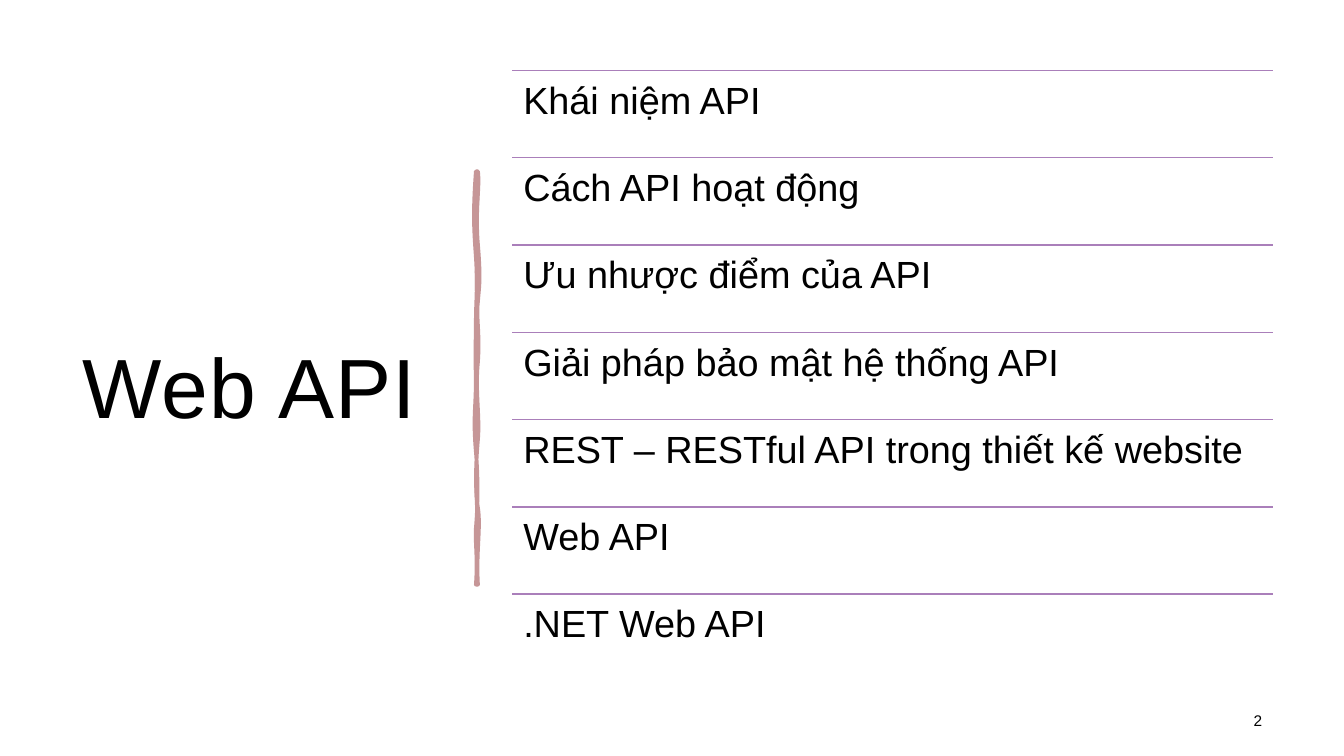
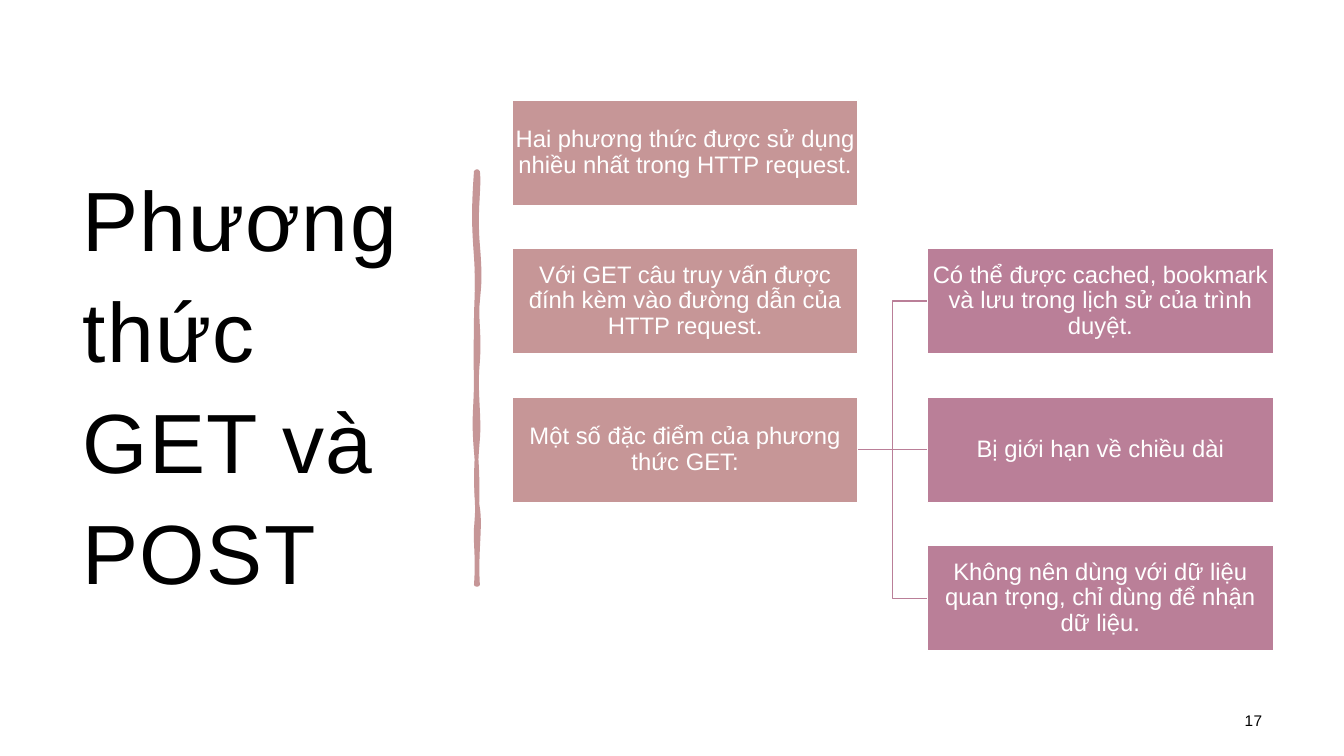
from pptx import Presentation
from pptx.dml.color import RGBColor
from pptx.enum.shapes import MSO_CONNECTOR, MSO_SHAPE
from pptx.enum.text import MSO_ANCHOR, PP_ALIGN
from pptx.oxml.ns import qn
from pptx.util import Inches, Pt
from lxml.etree import SubElement

COLORS = {
    "paper": "FFFFFF",
    "ink": "000000",
    "rose": "C69697",
    "mauve": "BA7F98",
    "violet": "AA7FBA",
}
FONT = "Arial"
FRAME = (0.12, 0.12, 0.12, 0.1)

SLIDE_BOX = (0, 0, 13.33, 7.5)
TITLE_BOX = (0.7, 0.7, 3.74, 6.11)
STROKE_BOX = (4.72, 1.7, 0.02, 4.1)
NUMBER_BOX = (10.64, 6.95, 2, 0.4)
LIST_BOX = (5.08, 0.7, 7.55, 6.06)
TREE_BOX = (5.08, 0.99, 7.55, 5.47)

STROKE_EDGE = [
    (0.01, 0, 0.01, 0, 0.02, 0),
    (0.04, 0.16, -0.01, 0.37, 0.02, 0.73),
    (0.05, 1.09, 0.03, 1.15, 0.02, 1.29),
    (0, 1.43, 0.04, 1.61, 0.02, 1.89),
    (-0.01, 2.17, 0.04, 2.43, 0.02, 2.66),
    (0, 2.88, -0.01, 3.15, 0.02, 3.34),
    (0.05, 3.53, 0, 3.78, 0.02, 4.1),
    (0.01, 4.1, 0.01, 4.1, 0, 4.1),
    (0.02, 3.84, -0.01, 3.66, 0, 3.54),
    (0.01, 3.43, 0.03, 3.13, 0, 2.78),
    (-0.03, 2.43, 0, 2.36, 0, 2.05),
    (-0.01, 1.75, 0, 1.71, 0, 1.49),
    (0, 1.28, 0.02, 1.15, 0, 0.85),
    (-0.02, 0.56, -0.03, 0.42, 0, 0),
]
STROKE_BODY = [
    (0, 0, 0.01, 0, 0.02, 0),
    (0.04, 0.25, 0.03, 0.31, 0.02, 0.56),
    (0.01, 0.82, 0.06, 1.1, 0.02, 1.33),
    (-0.02, 1.56, 0.04, 1.74, 0.02, 2.01),
    (0, 2.29, 0.02, 2.47, 0.02, 2.61),
    (0.02, 2.76, 0.01, 2.93, 0.02, 3.22),
    (0.03, 3.5, 0.01, 3.74, 0.02, 4.1),
    (0.01, 4.1, 0, 4.1, 0, 4.1),
    (-0.01, 3.98, -0.01, 3.66, 0, 3.54),
    (0, 3.43, -0.03, 3.08, 0, 2.9),
    (0.03, 2.72, 0.01, 2.53, 0, 2.26),
    (-0.01, 1.99, -0.02, 1.73, 0, 1.53),
    (0.01, 1.34, -0.03, 1.11, 0, 0.89),
    (0.03, 0.67, 0.02, 0.41, 0, 0),
]

TOPICS = [
    "Khái niệm API",
    "Cách API hoạt động",
    "Ưu nhược điểm của API",
    "Giải pháp bảo mật hệ thống API",
    "REST – RESTful API trong thiết kế website",
    "Web API",
    ".NET Web API",
]
METHODS = [
    "Hai phương thức được sử dụng nhiều nhất trong HTTP request.",
    "Với GET câu truy vấn được đính kèm vào đường dẫn của HTTP request.",
    "Một số đặc điểm của phương thức GET:",
]
TRAITS = [
    "Có thể được cached, bookmark và lưu trong lịch sử của trình duyệt.",
    "Bị giới hạn về chiều dài",
    "Không nên dùng với dữ liệu quan trọng, chỉ dùng để nhận dữ liệu.",
]


def rgb(name):
    return RGBColor.from_string(COLORS[name])


def inches(box):
    return [Inches(v) for v in box]


def paint(sp, fill, line=None, width=1):
    sp.shadow.inherit = False
    sp.fill.solid()
    sp.fill.fore_color.rgb = rgb(fill)
    if line:
        sp.line.color.rgb = rgb(line)
        sp.line.width = Pt(width)
    else:
        sp.line.fill.background()


def write(sp, text, size, color="ink", align=PP_ALIGN.LEFT, anchor=MSO_ANCHOR.MIDDLE,
          insets=FRAME, leading=0.9, tracking=0):
    tf = sp.text_frame
    tf.word_wrap = True
    tf.vertical_anchor = anchor
    tf.margin_left, tf.margin_top, tf.margin_right, tf.margin_bottom = inches(insets)
    p = tf.paragraphs[0]
    p.alignment = align
    p.line_spacing = leading
    r = p.add_run()
    r.text = text
    r.font.name = FONT
    r.font.size = Pt(size)
    r.font.color.rgb = rgb(color)
    if tracking:
        r._r.get_or_add_rPr().set("spc", str(round(tracking * 100)))


def add_text(s, box, text, size, **style):
    write(s.shapes.add_textbox(*inches(box)), text, size, **style)


def add_rect(s, box, fill, line=None):
    sp = s.shapes.add_shape(MSO_SHAPE.RECTANGLE, *inches(box))
    paint(sp, fill, line)
    return sp


def add_line(s, color, kind=MSO_CONNECTOR.STRAIGHT, ends=(0, 0, 0, 0)):
    line = s.shapes.add_connector(kind, *inches(ends))
    line.line.color.rgb = rgb(color)
    line.line.width = Pt(1)
    SubElement(line._element.spPr, qn("a:effectLst"))
    return line


def add_point(parent, x, y):
    SubElement(parent, qn("a:pt"), x=str(Inches(x)), y=str(Inches(y)))


def add_curves(outlines, size, curves, **flags):
    w, h = (str(v) for v in inches(size))
    outline = SubElement(outlines, qn("a:path"), w=w, h=h, **flags)
    add_point(SubElement(outline, qn("a:moveTo")), 0, 0)
    for curve in curves:
        bezier = SubElement(outline, qn("a:cubicBezTo"))
        for x, y in zip(curve[::2], curve[1::2]):
            add_point(bezier, x, y)
    SubElement(outline, qn("a:close"))


def add_stroke(s, box):
    left, top, width, height = inches(box)
    builder = s.shapes.build_freeform(left, top)
    builder.add_line_segments([(left + width, top + height)])
    sp = builder.convert_to_shape()
    paint(sp, "rose", "rose", 2.75)
    outlines = sp._element.spPr.find(".//" + qn("a:pathLst"))
    outlines.clear()
    add_curves(outlines, box[2:], STROKE_EDGE, fill="none")
    add_curves(outlines, box[2:], STROKE_BODY, stroke="0")


def add_base(prs, title, number):
    s = prs.slides.add_slide(prs.slide_layouts[6])
    add_rect(s, SLIDE_BOX, "paper")
    add_text(s, TITLE_BOX, title, 60, leading=1.1, tracking=1)
    add_stroke(s, STROKE_BOX)
    add_text(s, NUMBER_BOX, str(number), 11, align=PP_ALIGN.RIGHT, tracking=0.4)
    return s


def add_topic_list(s, box, topics):
    left, top, width, height = box
    row = height / len(topics)
    for i, topic in enumerate(topics):
        y = top + i * row
        add_line(s, "violet", ends=(left, y, left + width, y))
        add_text(s, (left, y, width, row), topic, 27,
                 anchor=MSO_ANCHOR.TOP, insets=(0.11,) * 4)


def add_card(s, box, text, color):
    sp = add_rect(s, box, color, "paper")
    write(sp, text, 17, color="paper", align=PP_ALIGN.CENTER, insets=(0.01,) * 4)
    return sp


def add_tree(s, box, methods, traits):
    left, top, width, height = box
    card_w, card_h = width / 2.2, 1.05
    pitch = (height - card_h) / 3

    def column(x, first_row, texts, color):
        return [add_card(s, (x, top + (first_row + i) * pitch, card_w, card_h), text, color)
                for i, text in enumerate(texts)]

    parent = column(left, 0, methods, "rose")[-1]
    for child in column(left + width - card_w, 1, traits, "mauve"):
        level = child.top == parent.top
        link = add_line(s, "mauve", MSO_CONNECTOR.STRAIGHT if level else MSO_CONNECTOR.ELBOW)
        link.begin_connect(parent, 3)
        link.end_connect(child, 1)


def main():
    prs = Presentation()
    prs.slide_width, prs.slide_height = inches(SLIDE_BOX[2:])
    add_topic_list(add_base(prs, "Web API", 2), LIST_BOX, TOPICS)
    add_tree(add_base(prs, "Phương thức GET và POST", 17), TREE_BOX, METHODS, TRAITS)
    prs.save("out.pptx")


if __name__ == "__main__":
    main()
